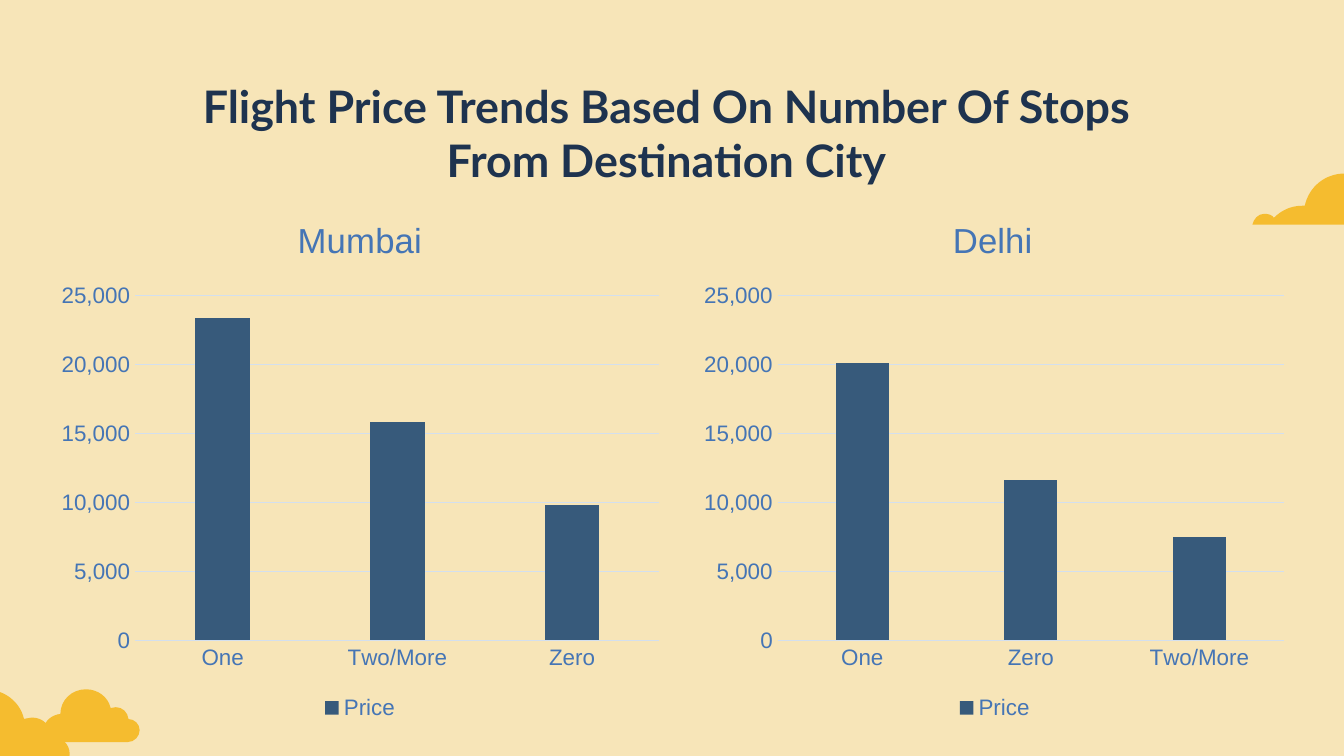
"""Build a slide comparing flight prices by number of stops for two cities."""
from pptx import Presentation
from pptx.chart.data import CategoryChartData
from pptx.dml.color import RGBColor
from pptx.enum.chart import XL_CHART_TYPE, XL_LEGEND_POSITION, XL_TICK_MARK
from pptx.enum.text import MSO_ANCHOR, PP_ALIGN
from pptx.oxml import parse_xml
from pptx.oxml.ns import nsdecls
from pptx.util import Cm, Pt

COLUMN = XL_CHART_TYPE.COLUMN_CLUSTERED
BOTTOM = XL_LEGEND_POSITION.BOTTOM
NO_TICK = XL_TICK_MARK.NONE
TOP = MSO_ANCHOR.TOP
CENTER = PP_ALIGN.CENTER

SAND = RGBColor(0xF7, 0xE5, 0xB8)
YELLOW = RGBColor(0xF5, 0xBC, 0x2F)
NAVY = RGBColor(0x1E, 0x33, 0x4F)
STEEL = RGBColor(0x37, 0x5A, 0x7B)
BLUE = RGBColor(0x45, 0x75, 0xB5)
PALE = RGBColor(0xD3, 0xDF, 0xEE)

CLOUD = [
    (68, 0),
    (82, 0), (94, 9), (97, 22), (99, 22), (101, 21), (103, 21),
    (111, 21), (117, 27), (118, 35), (125, 35), (131, 41), (131, 48),
    (131, 55), (125, 62), (117, 62), (90, 62), (40, 62), (10, 62),
    (4, 62), (0, 58), (0, 52), (0, 47), (4, 42), (10, 42),
    (13, 42), (16, 43), (18, 46), (20, 37), (28, 30), (38, 29),
    (38, 13), (51, 0), (68, 0),
]
CLOUD_EDGE = [
    (90, 0),
    (90, 16), (90, 33), (90, 49), (60, 49), (30, 49), (0, 49),
    (1, 45), (4, 41), (9, 41), (12, 41), (15, 42), (16, 44),
    (21, 39), (28, 35), (37, 35), (37, 35), (38, 35), (39, 35),
    (42, 21), (54, 11), (69, 11), (71, 11), (74, 11), (76, 12),
    (77, 5), (83, 0), (90, 0),
]


def add_cloud(outline, left, top, unit):
    fb = s.shapes.build_freeform(*outline[0], scale=unit)
    fb.add_line_segments(outline[1:], close=True)
    sp = fb.convert_to_shape(left, top)
    sp.shadow.inherit = False
    sp.fill.solid()
    sp.fill.fore_color.rgb = YELLOW
    sp.line.fill.background()
    lines = sp.element.xpath(".//a:path/a:lnTo")
    for i in range(0, len(outline) - 1, 3):
        curve = parse_xml(f'<a:cubicBezTo {nsdecls("a")}/>')
        lines[i].addprevious(curve)
        for line in lines[i:i + 3]:
            curve.append(line[0])
            line.getparent().remove(line)


def write(tf, text, font="Arial", size=12, color=NAVY, bold=False):
    p = tf.paragraphs[0]
    p.alignment = CENTER
    for i, line in enumerate(text.split("\n")):
        if i:
            p.add_line_break()
        r = p.add_run()
        r.text = line
        r.font.name = font
        r.font.size = Pt(size)
        r.font.bold = bold
        r.font.color.rgb = color


prs = Presentation()
prs.slide_width, prs.slide_height = Cm(25.4), Cm(14.29)
s = prs.slides.add_slide(prs.slide_layouts[6])
s.background.fill.solid()
s.background.fill.fore_color.rgb = SAND

add_cloud(CLOUD, Cm(-2.01), Cm(13.03), Cm(2.54) / 100)
add_cloud(CLOUD, Cm(0.53), Cm(13.03), Cm(1.61) / 100)
add_cloud(CLOUD_EDGE, Cm(23.67), Cm(3), Cm(2.54) / 100)

tf = s.shapes.add_textbox(Cm(0.91), Cm(1.24), Cm(23.37), Cm(1.6)).text_frame
tf.word_wrap = True
tf.vertical_anchor = TOP
tf.margin_left = tf.margin_right = tf.margin_top = tf.margin_bottom = Cm(0.25)
write(tf, "Flight Price Trends Based On Number Of Stops\nFrom Destination City",
      font="Lato", size=24, bold=True)

CITIES = [
    ("Mumbai", Cm(0.91), Cm(11.79), 0.39,
     {"One": 23400, "Two/More": 15800, "Zero": 9800}),
    ("Delhi", Cm(13.11), Cm(11.38), 0.42,
     {"One": 20100, "Zero": 11600, "Two/More": 7500}),
]
for city, left, width, title_x, prices in CITIES:
    data = CategoryChartData(number_format="#,##0")
    data.categories = list(prices)
    data.add_series("Price", list(prices.values()))
    chart = s.shapes.add_chart(COLUMN, left, Cm(3.68), width, Cm(10.03), data).chart
    chart.font.name = "Arial"
    chart.font.size = Pt(10)
    chart.font.color.rgb = NAVY

    chart.has_title = True
    write(chart.chart_title.text_frame, city, size=18.6, color=BLUE)
    chart.chart_title.include_in_layout = False
    chart.has_legend = True
    chart.legend.position = BOTTOM
    chart.legend.include_in_layout = False

    plot = chart.plots[0]
    plot.gap_width = 219
    plot.overlap = -27
    plot.vary_by_categories = False
    bars = plot.series[0].format
    bars.fill.solid()
    bars.fill.fore_color.rgb = STEEL

    cat, val = chart.category_axis, chart.value_axis
    for axis in (cat, val):
        axis.major_tick_mark = axis.minor_tick_mark = NO_TICK
    for font in (cat.tick_labels.font, val.tick_labels.font, chart.legend.font):
        font.name = "Arial"
        font.size = Pt(12)
        font.color.rgb = BLUE
    val.minimum_scale, val.maximum_scale, val.major_unit = 0, 25000, 5000
    val.tick_labels.number_format = "#,##0"
    val.tick_labels.number_format_is_linked = False
    val.format.line.fill.background()
    for line in (cat.format.line, val.major_gridlines.format.line):
        line.color.rgb = PALE
        line.width = Pt(0.75)

    title = chart.element.xpath("c:chart/c:title")[0]
    area = chart.element.xpath("c:chart/c:plotArea")[0]
    places = [
        (title, 1, {"xMode": "edge", "yMode": "edge", "x": title_x, "y": 0.03}),
        (area, 0, {"layoutTarget": "inner", "xMode": "edge", "yMode": "edge",
                   "x": 0.14, "y": 0.19, "w": 0.84, "h": 0.65}),
    ]
    for parent, index, values in places:
        for old in parent.xpath("c:layout"):
            parent.remove(old)
        items = "".join(f'<c:{k} val="{v}"/>' for k, v in values.items())
        parent.insert(index, parse_xml(
            f'<c:layout {nsdecls("c")}><c:manualLayout>{items}</c:manualLayout></c:layout>'))

prs.save("out.pptx")
